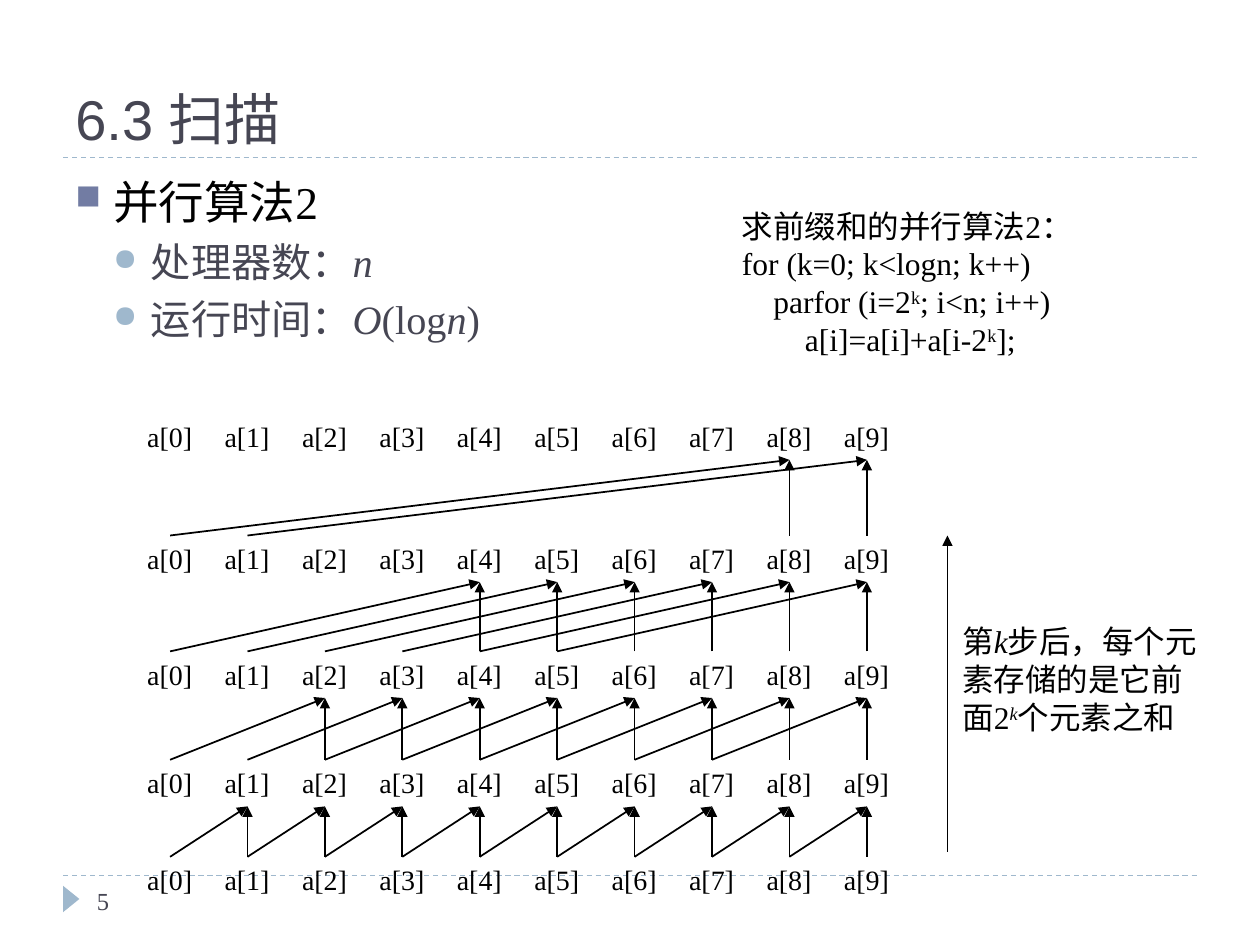
from dataclasses import dataclass

import lxml.etree
import pptx
import pptx.dml.color
import pptx.enum.dml
import pptx.enum.shapes
import pptx.enum.text
import pptx.oxml.ns
import pptx.util


@dataclass(frozen=True)
class Theme:
    ink: str = "000000"
    slate: str = "464653"
    accent: str = "9FB8CD"
    bullet: str = "727CA3"
    sans: str = "Arial"
    serif: str = "Times New Roman"
    title: int = 32
    heading: int = 26
    point: int = 23
    code: int = 18
    label: int = 16
    number: int = 14
    rule: float = 0.75
    arrow: float = 1


@dataclass(frozen=True)
class Box:
    x: float
    y: float
    w: float
    h: float


T = Theme()
COLS, ROWS = 100, 75
WIDTH, HEIGHT = pptx.util.Inches(10), pptx.util.Inches(7.5)
MSO_ANCHOR = pptx.enum.text.MSO_ANCHOR


def col(n):
    return round(n * WIDTH / COLS)


def row(n):
    return round(n * HEIGHT / ROWS)


def rgb(value):
    return pptx.dml.color.RGBColor.from_string(value)


def add_node(parent, tag, **attrs):
    return lxml.etree.SubElement(parent, pptx.oxml.ns.qn(tag), attrs)


def add_text(s, box, anchor=MSO_ANCHOR.TOP, wrap=True):
    sp = s.shapes.add_textbox(col(box.x), row(box.y), col(box.w), row(box.h))
    tf = sp.text_frame
    tf.word_wrap = wrap
    tf.vertical_anchor = anchor
    return tf


def add_runs(p, runs, size, color, font):
    p.font.size = pptx.util.Pt(size)
    p.font.name = font
    p.font.color.rgb = rgb(color)
    for text, style in runs:
        r = p.add_run()
        r.text = text
        if "i" in style:
            r.font.italic = True
        if "^" in style:
            r._r.get_or_add_rPr().set("baseline", "30000")


def add_bullet(p, char, color, margin, before):
    p.space_before = pptx.util.Pt(before)
    pPr = p._p.get_or_add_pPr()
    pPr.set("marL", str(col(margin)))
    pPr.set("indent", str(-col(3)))
    add_node(add_node(pPr, "a:buClr"), "a:srgbClr", val=color)
    add_node(pPr, "a:buSzPct", val="76000")
    add_node(pPr, "a:buChar", char=char)


def add_line(s, start, end, color, width):
    (x1, y1), (x2, y2) = start, end
    ln = s.shapes.add_connector(
        pptx.enum.shapes.MSO_CONNECTOR.STRAIGHT, col(x1), row(y1), col(x2), row(y2))
    ln.line.color.rgb = rgb(color)
    ln.line.width = pptx.util.Pt(width)
    add_node(ln._element.spPr, "a:effectLst")
    return ln


def add_arrow(s, start, end):
    ln = add_line(s, start, end, T.ink, T.arrow)
    add_node(ln.line._get_or_add_ln(), "a:tailEnd", type="triangle")


def add_rule(s, box, y):
    ln = add_line(s, (box.x, y), (box.x + box.w, y), T.accent, T.rule)
    ln.line.dash_style = pptx.enum.dml.MSO_LINE.DASH


def title_region(s, box):
    add_rule(s, box, box.y + box.h)
    tf = add_text(s, box, MSO_ANCHOR.BOTTOM)
    add_runs(tf.paragraphs[0], [("6.3 扫描", "")], T.title, T.slate, T.sans)


def footer_region(s, box):
    add_rule(s, box, box.y)
    sp = s.shapes.add_shape(pptx.enum.shapes.MSO_SHAPE.ISOSCELES_TRIANGLE,
                            col(box.x - 0.4), row(box.y + 1.2), col(2.1), row(1.3))
    sp.rotation = 90
    sp.shadow.inherit = False
    sp.fill.solid()
    sp.fill.fore_color.rgb = rgb(T.accent)
    sp.line.fill.background()
    tf = add_text(s, Box(box.x + 1.7, box.y, 21.7, box.h), MSO_ANCHOR.MIDDLE)
    add_runs(tf.paragraphs[0], [("5", "")], T.number, T.slate, T.serif)


def outline_region(s, box):
    tf = add_text(s, box)
    p = tf.paragraphs[0]
    add_bullet(p, "■", T.bullet, 3, 6)
    add_runs(p, [("并行算法2", "")], T.heading, T.ink, T.serif)
    points = [
        [("处理器数：", ""), ("n", "i")],
        [("运行时间：", ""), ("O", "i"), ("(log", ""), ("n", "i"), (")", "")],
    ]
    for runs in points:
        p = tf.add_paragraph()
        p.level = 1
        add_bullet(p, "●", T.accent, 6, 5)
        add_runs(p, runs, T.point, T.slate, T.serif)


def code_region(s, box):
    tf = add_text(s, box)
    lines = [
        (0, [("求前缀和的并行算法2：", "")]),
        (0, [("for (k=0; k<logn; k++)", "")]),
        (1, [("parfor (i=2", ""), ("k", "^"), ("; i<n; i++)", "")]),
        (2, [("a[i]=a[i]+a[i-2", ""), ("k", "^"), ("];", "")]),
    ]
    for n, (depth, runs) in enumerate(lines):
        p = tf.add_paragraph() if n else tf.paragraphs[0]
        pPr = p._p.get_or_add_pPr()
        pPr.set("marL", str(col(2.5 * depth)))
        pPr.set("indent", "0")
        add_runs(p, runs, T.code, T.ink, T.serif)


def scan_region(s, box, count=10, label_w=5.6, label_h=3.7, gaps=(4, 4.9, 5.5, 6)):
    pitch = (box.w - label_w) / (count - 1)
    centers = [box.x + label_w / 2 + pitch * i for i in range(count)]
    tops = [box.y + box.h - label_h]
    for gap in gaps:
        tops.append(tops[-1] - gap - label_h)
    for top in tops:
        for i, x in enumerate(centers):
            tf = add_text(s, Box(x - label_w / 2, top, label_w, label_h), wrap=False)
            add_runs(tf.paragraphs[0], [(f"a[{i}]", "")], T.label, T.ink, T.serif)
    for k, gap in enumerate(gaps):
        step = 2 ** k
        for i in range(step, count):
            for source in (i - step, i):
                add_arrow(s, (centers[source], tops[k]), (centers[i], tops[k] - gap))


def note_region(s, box):
    add_arrow(s, (box.x, box.y + box.h), (box.x, box.y))
    tf = add_text(s, Box(box.x + 0.2, box.y + 6.4, box.w - 0.2, 10.1))
    runs = [("第", ""), ("k", "i"), ("步后，每个元素存储的是它前面2", ""),
            ("k", "i^"), ("个元素之和", "")]
    add_runs(tf.paragraphs[0], runs, T.code, T.ink, T.serif)


def main():
    prs = pptx.Presentation()
    prs.slide_width, prs.slide_height = WIDTH, HEIGHT
    s = prs.slides.add_slide(prs.slide_layouts[6])
    title_region(s, Box(5, 1.7, 90, 10.8))
    footer_region(s, Box(5, 69.5, 90, 4))
    outline_region(s, Box(5, 13.3, 90, 54))
    scan_region(s, Box(10.7, 32.8, 60.9, 38.9))
    note_region(s, Box(75.2, 42.5, 21.1, 25.1))
    code_region(s, Box(57.9, 15.9, 32.5, 13.1))
    prs.save("out.pptx")


if __name__ == "__main__":
    main()
